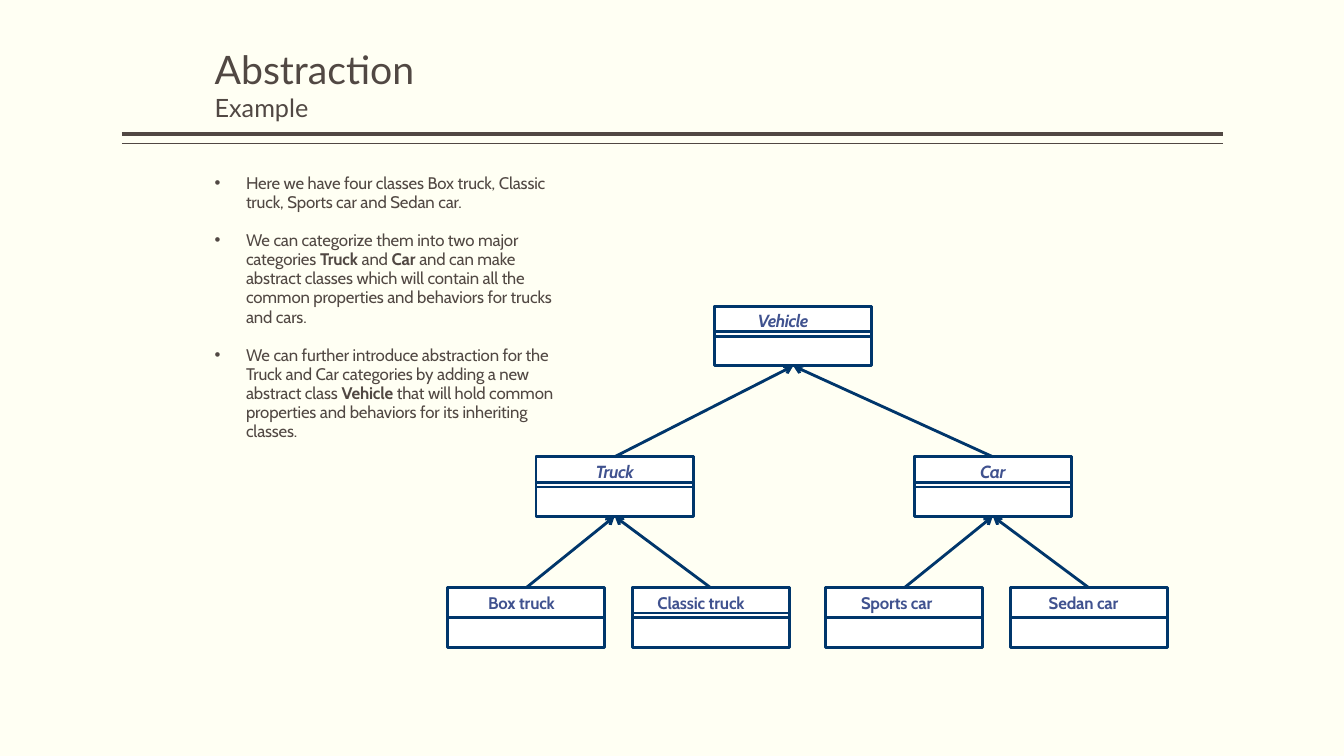
from dataclasses import dataclass

from lxml.etree import SubElement
from pptx import Presentation
from pptx.dml.color import RGBColor
from pptx.enum.shapes import MSO_CONNECTOR as CONN, MSO_SHAPE as SHAPE
from pptx.enum.text import MSO_ANCHOR as ANCHOR, MSO_AUTO_SIZE as AUTO, PP_ALIGN as ALIGN
from pptx.oxml.ns import qn
from pptx.util import Cm, Pt


# Colours, fonts and type sizes
@dataclass(frozen=True)
class Theme:
    paper: RGBColor = RGBColor(0xFF, 0xFF, 0xF3)
    ink: RGBColor = RGBColor(0x51, 0x48, 0x43)
    navy: RGBColor = RGBColor(0x00, 0x36, 0x6B)
    label: RGBColor = RGBColor(0x40, 0x52, 0x8F)
    white: RGBColor = RGBColor(0xFF, 0xFF, 0xFF)
    heading_font: str = "Lato"
    body_font: str = "Cabin"
    title: float = 28
    subtitle: float = 18
    body: float = 12
    abstract: float = 12.5
    outline: float = 2.04


T = Theme()

# Class diagram measures, in centimetres
BOX_W, BOX_H, HEADER_H, DIVIDER_Y = 3.96, 1.5, 0.64, 0.76
ROOT_TOP, GROUP_TOP, LEAF_TOP = 7.72, 11.51, 14.81
LEAF_OFFSETS = (-2.23, 2.42)

# Group name, left edge, and its classes as (name, text indent, framed header)
GROUPS = [
    ("Truck", 13.51, [("Box truck", 1.02, False), ("Classic truck", 0.64, True)]),
    ("Car", 23.04, [("Sports car", 0.89, False), ("Sedan car", 0.97, False)]),
]

# Bold words stand between double asterisks
BULLETS = [
    "Here we have four classes Box truck, Classic truck, Sports car and Sedan car.",
    "We can categorize them into two major categories **Truck** and **Car** and can make "
    "abstract classes which will contain all the common properties and behaviors for "
    "trucks and cars.",
    "We can further introduce abstraction for the Truck and Car categories by adding a new "
    "abstract class **Vehicle** that will hold common properties and behaviors for its "
    "inheriting classes.",
]


def place(sp, left, top, width, height):
    sp.left, sp.top, sp.width, sp.height = Cm(left), Cm(top), Cm(width), Cm(height)


def set_frame(tf, anchor, top_inset):
    tf.word_wrap = True
    tf.auto_size = AUTO.NONE
    tf.vertical_anchor = anchor
    tf.margin_left = tf.margin_right = tf.margin_bottom = 0
    tf.margin_top = Cm(top_inset)


def set_indent(p, margin, first=0):
    pPr = p._p.get_or_add_pPr()
    pPr.set("marL", str(Cm(margin)))
    pPr.set("indent", str(Cm(first)))
    return pPr


def set_font(p, name, size, color, bold=None, italic=None, spacing=0):
    f = p.font
    f.name, f.size, f.bold, f.italic = name, Pt(size), bold, italic
    f.color.rgb = color
    p._p.pPr.find(qn("a:defRPr")).set("spc", str(spacing))


def add_line(slide, x1, y1, x2, y2, color, width):
    line = slide.shapes.add_connector(CONN.STRAIGHT, Cm(x1), Cm(y1), Cm(x2), Cm(y2))
    line.line.color.rgb = color
    line.line.width = Pt(width)
    SubElement(line._element.spPr, qn("a:effectLst"))
    return line


def add_box(slide, left, top, height, fill=None, outlined=True):
    sp = slide.shapes.add_shape(SHAPE.RECTANGLE, Cm(left), Cm(top), Cm(BOX_W), Cm(height))
    sp.shadow.inherit = False
    if fill is None:
        sp.fill.background()
    else:
        sp.fill.solid()
        sp.fill.fore_color.rgb = fill
    if outlined:
        sp.line.color.rgb = T.navy
        sp.line.width = Pt(T.outline)
    else:
        sp.line.fill.background()
    return sp


def add_class(slide, name, left, top, indent=None, framed=True, abstract=False):
    """Draw a class box; a name without an indent is centred."""
    box = add_box(slide, left, top, BOX_H, fill=T.white)
    header = add_box(slide, left, top, HEADER_H, outlined=framed)
    set_frame(header.text_frame, ANCHOR.TOP, 0.1 if abstract else 0.13)
    p = header.text_frame.paragraphs[0]
    p.text = name
    p.alignment = ALIGN.CENTER if indent is None else ALIGN.LEFT
    set_indent(p, indent or 0)
    set_font(p, T.body_font, T.abstract if abstract else T.body, T.label, bold=True,
             italic=abstract, spacing=-30 if abstract else -10)
    y = top + DIVIDER_Y
    add_line(slide, left, y, left + BOX_W, y, T.navy, T.outline)
    return box


def add_inheritance(slide, child, parent):
    arrow = add_line(slide, 0, 0, 1, 1, T.navy, T.outline)
    arrow.begin_connect(child, 0)
    arrow.end_connect(parent, 2)
    SubElement(arrow.line._get_or_add_ln(), qn("a:tailEnd"), type="arrow", w="med", len="med")


def fill_title(sp):
    place(sp, 5.38, 1.09, 6.6, 2.01)
    tf = sp.text_frame
    set_frame(tf, ANCHOR.BOTTOM, 0.03)
    tf.text = "Abstraction\nExample"
    for p, size in zip(tf.paragraphs, (T.title, T.subtitle)):
        p.alignment = ALIGN.LEFT
        p.space_before = Pt(0)
        set_indent(p, 0.03)
        set_font(p, T.heading_font, size, T.ink)


def fill_body(sp):
    place(sp, 5.36, 4.29, 9.02, 6.86)
    tf = sp.text_frame
    set_frame(tf, ANCHOR.TOP, 0.08)
    for i, text in enumerate(BULLETS):
        p = tf.add_paragraph() if i else tf.paragraphs[0]
        p.line_spacing = Pt(13.7)
        p.space_before = Pt(13.5 if i else 0)
        SubElement(set_indent(p, 0.84, -0.79), qn("a:buChar"), char="•")
        set_font(p, T.body_font, T.body, T.ink, spacing=-10)
        for j, part in enumerate(text.split("**")):
            r = p.add_run()
            r.text = part
            if j % 2:
                r.font.bold = True


def add_diagram(slide):
    root = add_class(slide, "Vehicle", 18.01, ROOT_TOP, indent=1.09, abstract=True)
    for name, left, leaves in GROUPS:
        group = add_class(slide, name, left, GROUP_TOP, abstract=True)
        add_inheritance(slide, group, root)
        for offset, (leaf_name, indent, framed) in zip(LEAF_OFFSETS, leaves):
            leaf = add_class(slide, leaf_name, left + offset, LEAF_TOP, indent, framed)
            add_inheritance(slide, leaf, group)


def main():
    prs = Presentation()
    prs.slide_width, prs.slide_height = Cm(33.87), Cm(19.05)
    slide = prs.slides.add_slide(prs.slide_layouts[1])
    slide.background.fill.solid()
    slide.background.fill.fore_color.rgb = T.paper

    # Double rule under the title
    for y, width in ((3.38, 3), (3.62, 1)):
        add_line(slide, 3.07, y, 30.81, y, T.ink, width)

    # Text and class diagram
    fill_title(slide.shapes.title)
    fill_body(slide.placeholders[1])
    add_diagram(slide)
    prs.save("out.pptx")


if __name__ == "__main__":
    main()
